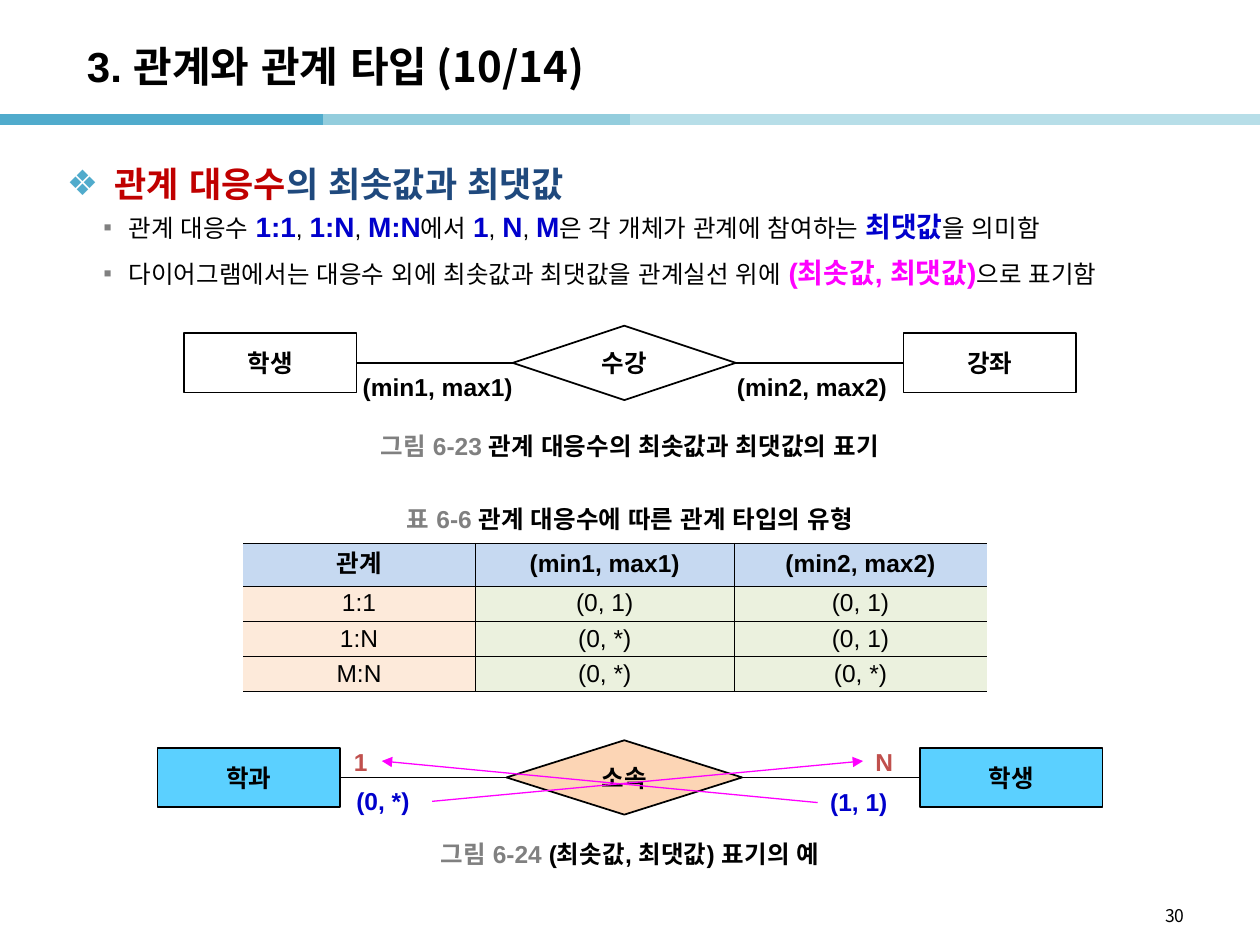
from pptx import Presentation
from pptx.dml.color import RGBColor
from pptx.enum.shapes import MSO_CONNECTOR, MSO_SHAPE
from pptx.enum.text import MSO_ANCHOR, MSO_AUTO_SIZE, PP_ALIGN
from pptx.oxml.ns import qn
from pptx.util import Inches, Pt
from lxml.etree import SubElement

rgb = RGBColor.from_string
SANS = "Noto Sans CJK KR"
BLACK, BLUE, GRAY, PINK, RED = "000000", "0000CC", "808080", "FF00FF", "C0504D"


def write(para, text, size=14, color=BLACK, bold=True, face="Arial"):
    run = para.add_run()
    run.text = text
    font = run.font
    font.size, font.bold, font.name = Pt(size), bold, face
    font.color.rgb = rgb(color)
    SubElement(font._element, qn("a:ea"), typeface=face)


def link(x1, y1, x2, y2, color=BLACK, width=0.75):
    line = slide.shapes.add_connector(
        MSO_CONNECTOR.STRAIGHT, Inches(x1), Inches(y1), Inches(x2), Inches(y2))
    line.line.color.rgb = rgb(color)
    line.line.width = Pt(width)
    SubElement(line._element.spPr, qn("a:effectLst"))
    return line


deck = Presentation()
deck.slide_width, deck.slide_height = Inches(10), Inches(7.5)
slide = deck.slides.add_slide(deck.slide_layouts[1])

for start, end, color in [(0, 2.56, "50ABCC"), (2.56, 5.12, "93CDDD"),
                          (5, 7.56, "B7DEE8"), (7.46, 10, "B7DEE8")]:
    link(start, 0.95, end, 0.95, color, 6)

title, body = slide.placeholders
for holder, area in [(title, (0.59, 0.22, 8.27, 0.6)), (body, (0.43, 1.07, 9.21, 1.49))]:
    holder.left, holder.top, holder.width, holder.height = map(Inches, area)
    holder.text_frame.auto_size = MSO_AUTO_SIZE.NONE
title.text_frame.vertical_anchor = MSO_ANCHOR.MIDDLE
para = title.text_frame.paragraphs[0]
para.alignment = PP_ALIGN.LEFT
write(para, "3. 관계와 관계 타입", 24)
write(para, " (10/14)", 24, face=SANS)

plain, strong, pink = (14, BLACK, False), (16, BLUE, True), (16, PINK, True)
points = [
    (0, [("관계 대응수", (20, "C00000", True)), ("의 최솟값과 최댓값", (20, "1F497D", True))]),
    (1, [("관계 대응수 ", plain), ("1:1", strong), (", ", plain), ("1:N", strong),
         (", ", plain), ("M:N", strong), ("에서 ", plain), ("1", strong),
         (", ", plain), ("N", strong), (", ", plain), ("M", strong),
         ("은 각 개체가 관계에 참여하는 ", plain), ("최댓값", strong), ("을 의미함", plain)]),
    (1, [("다이어그램에서는 대응수 외에 최솟값과 최댓값을 관계실선 위에 ", plain),
         ("(최솟값, 최댓값)", pink), ("으로 표기함", plain)]),
]
marks = [(0.38, 0.38, "❖", "50ABCC"), (0.49, 0.2, "▪", GRAY)]
for i, (level, runs) in enumerate(points):
    para = body.text_frame.add_paragraph() if i else body.text_frame.paragraphs[0]
    para.level = level
    para.alignment = PP_ALIGN.JUSTIFY
    if level:
        para.space_after = Pt(4)
    else:
        para.line_spacing = 1.5
    left, hang, mark, color = marks[level]
    props = para._p.get_or_add_pPr()
    props.set("marL", str(Inches(left)))
    props.set("indent", str(-Inches(hang)))
    SubElement(SubElement(props, qn("a:buClr")), qn("a:srgbClr"), val=color)
    SubElement(props, qn("a:buFont"), typeface="Arial")
    SubElement(props, qn("a:buChar"), char=mark)
    for text, style in runs:
        write(para, text, *style)

rows = [("관계", "(min1, max1)", "(min2, max2)"), ("1:1", "(0, 1)", "(0, 1)"),
        ("1:N", "(0, *)", "(0, 1)"), ("M:N", "(0, *)", "(0, *)")]
table = slide.shapes.add_table(
    4, 3, Inches(1.93), Inches(4.31), Inches(5.9), Inches(1.18)).table
for col, width in zip(table.columns, (1.84, 2.06, 2)):
    col.width = Inches(width)
for r, texts in enumerate(rows):
    table.rows[r].height = Inches(0.28 if r else 0.34)
    for c, text in enumerate(texts):
        cell = table.cell(r, c)
        cell.vertical_anchor = MSO_ANCHOR.MIDDLE
        cell.margin_left = cell.margin_right = Inches(0.07)
        cell.margin_top = cell.margin_bottom = Inches(0.02)
        props = cell._tc.get_or_add_tcPr()
        for side, shown in [("L", c > 0), ("R", c < 2), ("T", True), ("B", True)]:
            edge = SubElement(props, qn("a:ln" + side), w=str(Pt(0.28)))
            if shown:
                SubElement(SubElement(edge, qn("a:solidFill")), qn("a:srgbClr"), val=BLACK)
            else:
                SubElement(edge, qn("a:noFill"))
        cell.fill.solid()
        cell.fill.fore_color.rgb = rgb("C6D9F1" if r == 0 else "EBF1DE" if c else "FDEADA")
        para = cell.text_frame.paragraphs[0]
        para.alignment = PP_ALIGN.CENTER
        write(para, text, bold=r == 0)

charts = [
    (2.88, 2.83, 7.17, [("수강", 4.07, 1.77, 0.59, "FFFFFF"),
                        ("학생", 1.46, 1.37, 0.47, "FFFFFF"),
                        ("강좌", 7.17, 1.37, 0.47, "FFFFFF")]),
    (6.17, 2.7, 7.3, [("소속", 4.02, 1.87, 0.59, "FCD5B5"),
                      ("학과", 1.25, 1.45, 0.47, "5BD0FF"),
                      ("학생", 7.3, 1.45, 0.47, "5BD0FF")]),
]
for y, left, right, nodes in charts:
    line = link(right, y, left, y)
    boxes = []
    for i, (text, x, width, height, color) in enumerate(nodes):
        kind = MSO_SHAPE.RECTANGLE if i else MSO_SHAPE.FLOWCHART_DECISION
        box = slide.shapes.add_shape(
            kind, Inches(x), Inches(y - height / 2), Inches(width), Inches(height))
        box.shadow.inherit = False
        box.fill.solid()
        box.fill.fore_color.rgb = rgb(color)
        box.line.color.rgb = rgb(BLACK)
        box.line.width = Pt(1)
        box.text_frame.vertical_anchor = MSO_ANCHOR.MIDDLE
        para = box.text_frame.paragraphs[0]
        para.alignment = PP_ALIGN.CENTER
        write(para, text)
        boxes.append(box)
    line.begin_connect(boxes[2], 1)
    line.end_connect(boxes[1], 3)

labels = [
    (5.75, 2.9, 1.79, "(min2, max2)", BLACK), (2.78, 2.9, 1.79, "(min1, max1)", BLACK),
    (6.49, 6.2, 0.69, "(1, 1)", BLUE), (2.73, 6.19, 0.7, "(0, *)", BLUE),
    (2.71, 5.88, 0.32, "1", RED), (6.85, 5.88, 0.36, "N", RED),
]
for x, y, width, text, color in labels:
    box = slide.shapes.add_textbox(Inches(x), Inches(y), Inches(width), Inches(0.34))
    box.text_frame.word_wrap = width > 1
    write(box.text_frame.paragraphs[0], text, color=color)

heads = [(3.96, "표 6-6 ", "관계 대응수에 따른 관계 타입의 유형"),
         (3.38, "그림 6-23 ", "관계 대응수의 최솟값과 최댓값의 표기"),
         (6.62, "그림 6-24 ", "(최솟값, 최댓값) 표기의 예")]
for y, tag, text in heads:
    box = slide.shapes.add_textbox(Inches(2.5), Inches(y), Inches(5), Inches(0.31))
    box.text_frame.word_wrap = True
    box.text_frame.vertical_anchor = MSO_ANCHOR.MIDDLE
    para = box.text_frame.paragraphs[0]
    para.alignment = PP_ALIGN.CENTER
    write(para, tag, color=GRAY)
    write(para, text)

for ends in [(6.49, 6.37, 3.03, 6.04), (3.43, 6.36, 6.85, 6.04)]:
    line = link(*ends, PINK)
    SubElement(line.line._get_or_add_ln(), qn("a:tailEnd"), type="triangle")

box = slide.shapes.add_textbox(Inches(7.17), Inches(7.13), Inches(2.33), Inches(0.28))
box.text_frame.word_wrap = True
para = box.text_frame.paragraphs[0]
para.alignment = PP_ALIGN.RIGHT
write(para, "30", 10, bold=False, face=SANS)

deck.save("out.pptx")
